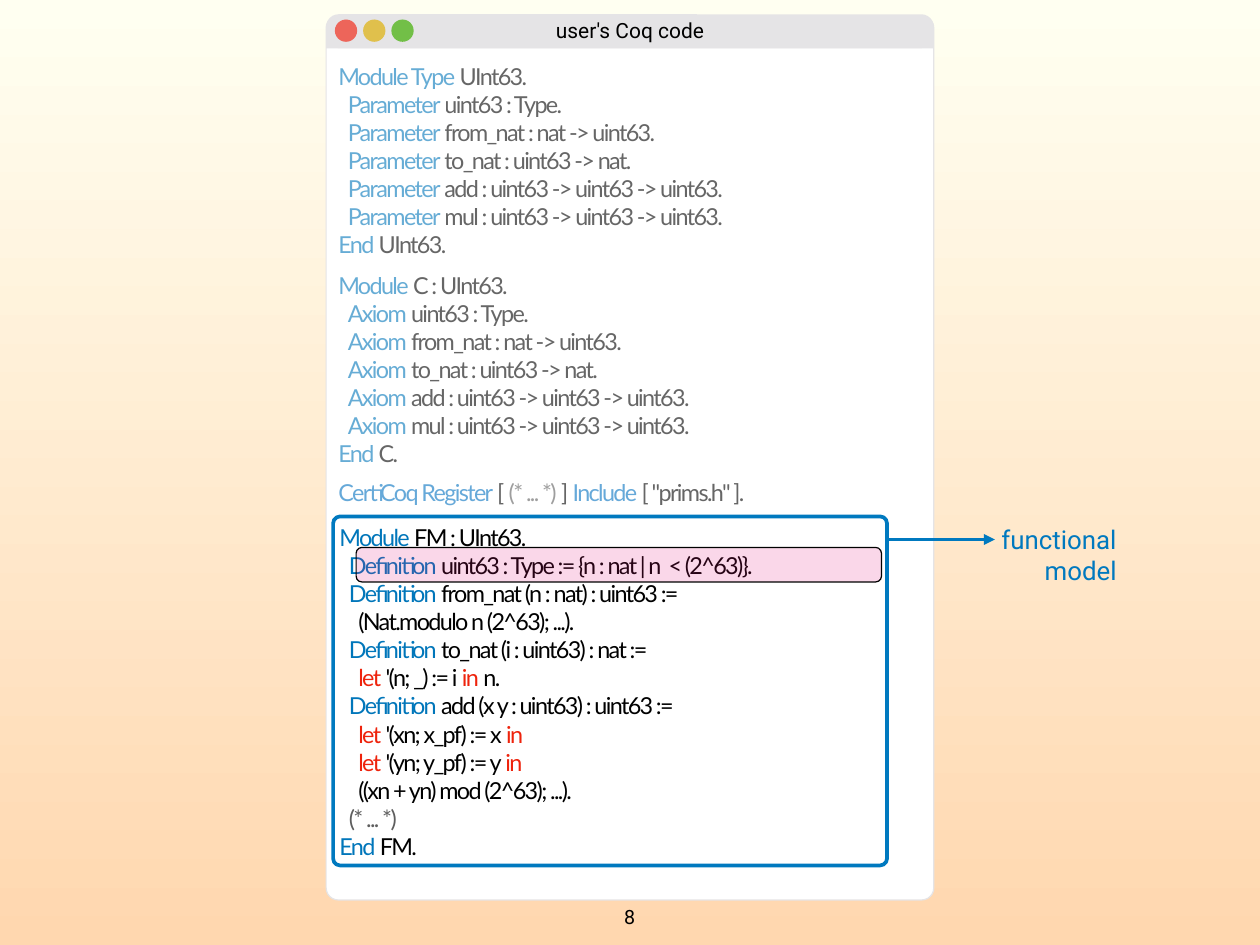
from itertools import groupby

from lxml import etree
from pptx import Presentation
from pptx.dml.color import RGBColor
from pptx.enum.shapes import MSO_CONNECTOR, MSO_SHAPE
from pptx.enum.text import MSO_ANCHOR, MSO_AUTO_SIZE, PP_ALIGN
from pptx.oxml.ns import qn
from pptx.util import Cm, Pt

ROUND, OVAL = MSO_SHAPE.ROUNDED_RECTANGLE, MSO_SHAPE.OVAL
RECT, STRAIGHT = MSO_SHAPE.RECTANGLE, MSO_CONNECTOR.STRAIGHT
LEFT, CENTER, RIGHT = PP_ALIGN.LEFT, PP_ALIGN.CENTER, PP_ALIGN.RIGHT
TOP, MIDDLE, NO_FIT = MSO_ANCHOR.TOP, MSO_ANCHOR.MIDDLE, MSO_AUTO_SIZE.NONE

CREAM, PEACH = RGBColor(0xFF, 0xFF, 0xF1), RGBColor(0xFF, 0xD7, 0xAF)
WHITE, BLACK = RGBColor(0xFF, 0xFF, 0xFF), RGBColor(0, 0, 0)
BAR, GREY = RGBColor(0xE5, 0xE4, 0xE6), RGBColor(0x5E, 0x5E, 0x5E)
RED = RGBColor(0xED, 0x65, 0x5A)
YELLOW = RGBColor(0xE0, 0xC0, 0x4C)
GREEN = RGBColor(0x72, 0xBF, 0x47)
BLUE, COMMAND = RGBColor(0x00, 0x76, 0xBA), RGBColor(0x00, 0x70, 0xC0)
ACCENT, PINK = RGBColor(0x00, 0x79, 0xBF), RGBColor(0xE4, 0x17, 0x7D)
LET = RGBColor(0xEE, 0x23, 0x0C)

WORD_COLORS = {
    **dict.fromkeys(["Module", "Parameter", "Axiom", "Definition", "End"], BLUE),
    **dict.fromkeys(["CertiCoq", "Register", "Include"], COMMAND),
    **dict.fromkeys(["let", "in"], LET),
    **dict.fromkeys(["(*", "...", "*)"], GREY),
}

# Code: each line is (indent level, text)
SIGNATURES = [
    "uint63 : Type.",
    "from_nat : nat -> uint63.",
    "to_nat : uint63 -> nat.",
    "add : uint63 -> uint63 -> uint63.",
    "mul : uint63 -> uint63 -> uint63.",
]
REGISTER = [(0, 'CertiCoq Register [ (* ... *) ] Include [ "prims.h" ].')]
MODEL = [
    (0, "Module FM : UInt63."),
    (1, "Definition uint63 : Type := {n : nat | n  < (2^63)}."),
    (1, "Definition from_nat (n : nat) : uint63 :="),
    (2, "(Nat.modulo n (2^63); ...)."),
    (1, "Definition to_nat (i : uint63) : nat :="),
    (2, "let '(n; _) := i in n."),
    (1, "Definition add (x y : uint63) : uint63 :="),
    (2, "let '(xn; x_pf) := x in"),
    (2, "let '(yn; y_pf) := y in"),
    (2, "((xn + yn) mod (2^63); ...)."),
    (1, "(* ... *)"),
    (0, "End FM."),
]


def module(header, keyword, name):
    body = [(1, f"{keyword} {signature}") for signature in SIGNATURES]
    return [(0, header), *body, (0, f"End {name}.")]


def color_runs(line):
    """Split a code line into (text, colour) pieces."""
    words = line.split(" ")

    def color(word):
        if word == "Type" and words[0] == "Module":
            return BLUE
        return WORD_COLORS.get(word, BLACK)

    pieces = [(" ".join(group), c) for c, group in groupby(words, color)]
    return [(text + " " * (i < len(pieces) - 1), c)
            for i, (text, c) in enumerate(pieces)]


def set_alpha(parent, percent):
    rgb = parent.find(".//" + qn("a:srgbClr"))
    etree.SubElement(rgb, qn("a:alpha"), val=str(percent * 1000))


class CodeSlide:
    code_font, label_font = "Lato", "Roboto"
    code_size, tracking, indent, inset = 19, -130, 0.27, 0.15

    def __init__(self, prs):
        self.s = prs.slides.add_slide(prs.slide_layouts[1])
        self.shapes = self.s.shapes

    def background(self, top, bottom):
        fill = self.s.background.fill
        fill.gradient()
        fill.gradient_angle = 270
        for stop, color, position in zip(fill.gradient_stops, (top, bottom), (0, 1)):
            stop.color.rgb, stop.position = color, position

    def shape(self, kind, x, y, w, h, fill=None, line=None, width=1, adj=None, alpha=None):
        sp = self.shapes.add_shape(kind, Cm(x), Cm(y), Cm(w), Cm(h))
        sp.shadow.inherit = False
        if adj is not None:
            sp.adjustments[0] = adj
        if fill is None:
            sp.fill.background()
        else:
            sp.fill.solid()
            sp.fill.fore_color.rgb = fill
        if alpha:
            set_alpha(sp.element.spPr, alpha)
        if line is None:
            sp.line.fill.background()
        else:
            sp.line.color.rgb, sp.line.width = line, Pt(width)

    def arrow(self, x1, x2, y, color, width):
        sp = self.shapes.add_connector(STRAIGHT, Cm(x1), Cm(y), Cm(x2), Cm(y))
        sp.line.color.rgb, sp.line.width = color, Pt(width)
        etree.SubElement(sp.line._get_or_add_ln(), qn("a:tailEnd"), type="triangle")
        etree.SubElement(sp.element.spPr, qn("a:effectLst"))

    def frame(self, x, y, w, h, anchor, sp=None):
        """Place a text box, or bring a placeholder to the front and place it."""
        box = Cm(x), Cm(y), Cm(w), Cm(h)
        if sp is None:
            sp = self.shapes.add_textbox(*box)
        else:
            sp.left, sp.top, sp.width, sp.height = box
            self.shapes.element.append(sp.element)
        tf = sp.text_frame
        tf.word_wrap, tf.auto_size, tf.vertical_anchor = True, NO_FIT, anchor
        tf.margin_left = tf.margin_right = Cm(self.inset)
        tf.margin_top = tf.margin_bottom = Cm(self.inset)
        return tf

    def label(self, text, x, y, w, h, size, color=BLACK, align=CENTER, sp=None):
        tf = self.frame(x, y, w, h, MIDDLE, sp)
        tf.text = text
        for p in tf.paragraphs:
            p.alignment = align
            for r in p.runs:
                r.font.name, r.font.size = self.label_font, Pt(size)
                r.font.color.rgb = color

    def code(self, lines, x, y, w, h, alpha=None, sp=None):
        tf = self.frame(x, y, w, h, TOP, sp)
        for i, (level, line) in enumerate(lines):
            p = tf.add_paragraph() if i else tf.paragraphs[0]
            p.alignment, p.space_before = LEFT, Pt(0)
            pPr = p._p.get_or_add_pPr()
            pPr.set("marL", str(Cm(level * self.indent)))
            pPr.set("indent", "0")
            etree.SubElement(pPr, qn("a:buNone"))
            for text, color in color_runs(line):
                r = p.add_run()
                r.text = text
                r.font.name, r.font.size = self.code_font, Pt(self.code_size)
                r.font.color.rgb = color
                rPr = r.font._element
                rPr.set("spc", str(self.tracking))
                if alpha:
                    set_alpha(rPr, alpha)


def main():
    prs = Presentation()
    prs.slide_width, prs.slide_height = Cm(36.12), Cm(27.1)
    slide = CodeSlide(prs)
    title, body = slide.s.placeholders
    slide.background(CREAM, PEACH)

    # Editor window with its title bar
    slide.shape(ROUND, 9.35, 0.46, 17.42, 25.35, WHITE, BAR, adj=0.02)
    slide.shape(ROUND, 9.35, 0.41, 17.42, 0.97, BAR, adj=0.37)
    slide.shape(RECT, 9.35, 0.91, 17.42, 0.48, BAR)
    for i, color in enumerate((RED, YELLOW, GREEN)):
        slide.shape(OVAL, 9.6 + 0.81 * i, 0.56, 0.64, 0.64, color)
    slide.label("user's Coq code", 14.06, 0.38, 8, 0.97, 17, sp=title)

    # Faded interface and axioms
    slide.code(module("Module Type UInt63.", "Parameter", "UInt63"),
               9.55, 1.63, 17, 5.97, alpha=60)
    slide.code(module("Module C : UInt63.", "Axiom", "C"),
               9.55, 7.62, 17, 5.97, alpha=60)
    slide.code(REGISTER, 9.55, 13.56, 17, 1.09, alpha=60)

    # Functional model with its frame and callout
    slide.code(MODEL, 9.58, 14.86, 17, 10.03, sp=body)
    slide.shape(ROUND, 9.55, 14.81, 15.88, 10.01, line=ACCENT, width=3, adj=0.02)
    slide.arrow(25.43, 28.52, 15.47, ACCENT, 3)
    slide.label("functional\nmodel", 27.89, 14.86, 4.27, 2.08, 21, ACCENT, RIGHT)
    slide.shape(ROUND, 10.21, 15.7, 15.06, 0.99, PINK, BLACK, alpha=17)

    # Page number
    slide.label("8", 17.55, 25.83, 1, 0.89, 16)

    prs.save("out.pptx")


if __name__ == "__main__":
    main()
